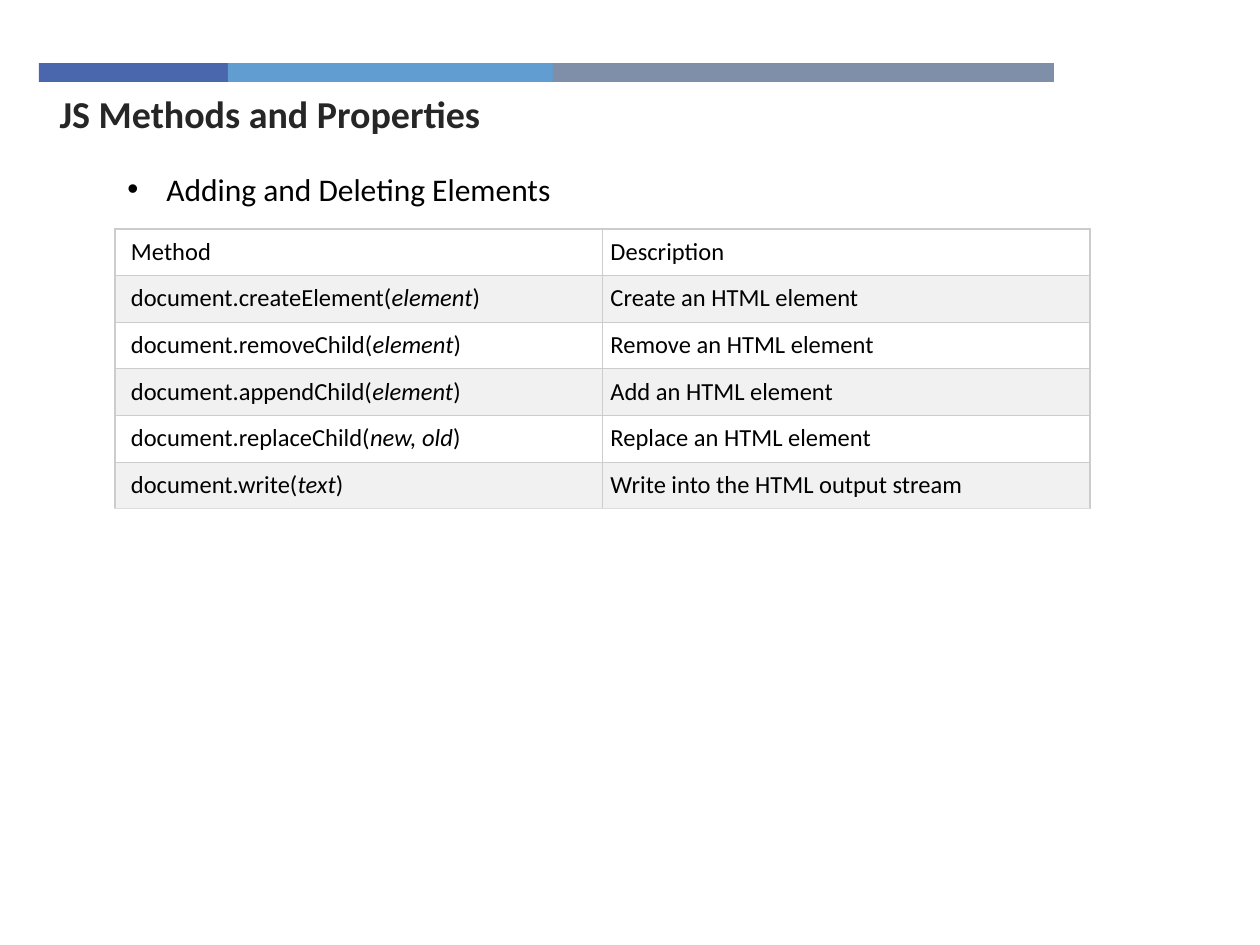
from lxml import etree
from pptx import Presentation
from pptx import util as u
from pptx.dml.color import RGBColor
from pptx.enum import shapes, text
from pptx.oxml.ns import qn

PX = u.Inches(1) / 126
FONT = "Calibri"
BARS = [(189, "4A66AC"), (325, "629DD1"), (501, "7F8FA9")]
# Each row: call text, italic argument, closing text, description
ROWS = [
    ("Method", "", "", "Description"),
    ("document.createElement(", "element", ")", "Create an HTML element"),
    ("document.removeChild(", "element", ")", "Remove an HTML element"),
    ("document.appendChild(", "element", ")", "Add an HTML element"),
    ("document.replaceChild(", "new, old", ")", "Replace an HTML element"),
    ("document.write(", "text", ")", "Write into the HTML output stream"),
]


def px(n):
    return u.Emu(round(n * PX))


def rgb(color):
    return RGBColor.from_string(color)


def style(font, size, color="000000", bold=False):
    font.name, font.size, font.bold = FONT, u.Pt(size), bold
    font.color.rgb = rgb(color)


def add_bars(s, left, top, height):
    for width, color in BARS:
        bar = s.shapes.add_shape(shapes.MSO_SHAPE.RECTANGLE,
                                 px(left), px(top), px(width), px(height))
        bar.shadow.inherit = False
        bar.fill.solid()
        bar.fill.fore_color.rgb = rgb(color)
        bar.line.fill.background()
        left += width


def set_title(s, title):
    sp = s.shapes.title
    sp.left, sp.top, sp.width, sp.height = px(47), px(82), px(456), px(68)
    tf = sp.text_frame
    tf.text = title
    tf.auto_size = text.MSO_AUTO_SIZE.NONE
    tf.vertical_anchor = text.MSO_ANCHOR.MIDDLE
    p = tf.paragraphs[0]
    p.alignment = text.PP_ALIGN.LEFT
    p.line_spacing = 0.9
    style(p.runs[0].font, 21.7, "262626", bold=True)


def add_bullet(s, content):
    sp = s.shapes.add_textbox(px(115), px(164), px(750), px(50))
    tf = sp.text_frame
    tf.word_wrap = True
    tf.text = content
    p = tf.paragraphs[0]
    pPr = p._p.get_or_add_pPr()
    pPr.set("marL", str(px(39)))
    pPr.set("indent", str(-px(39)))
    etree.SubElement(pPr, qn("a:buFont"), typeface="Arial")
    etree.SubElement(pPr, qn("a:buChar"), char="•")
    style(p.runs[0].font, 18)


def set_borders(cell, bottom):
    tcPr = cell._tc.get_or_add_tcPr()
    colors = {"lnL": "CCCCCC", "lnR": "CCCCCC", "lnT": "CCCCCC", "lnB": bottom}
    for i, (side, color) in enumerate(colors.items()):
        ln = etree.Element(qn(f"a:{side}"), w=str(u.Pt(0.75)))
        fill = etree.SubElement(ln, qn("a:solidFill"))
        etree.SubElement(fill, qn("a:srgbClr"), val=color)
        tcPr.insert(i, ln)


def fill_cell(cell, parts, left_inset, fill, bottom):
    """Write (text, italic) parts into a cell and format it."""
    cell.margin_left = px(left_inset)
    cell.margin_right = cell.margin_top = cell.margin_bottom = px(8)
    cell.fill.solid()
    cell.fill.fore_color.rgb = rgb(fill)
    p = cell.text_frame.paragraphs[0]
    for content, italic in parts:
        if content:
            r = p.add_run()
            r.text = content
            style(r.font, 14)
            r.font.italic = italic
    set_borders(cell, bottom)


def add_methods_table(s):
    width, height = px(975), px(280)
    table = s.shapes.add_table(len(ROWS), 2, px(115), px(229), width, height).table
    table.first_row = table.horz_banding = False
    for column in table.columns:
        column.width = width // 2
    for i, (call, argument, end, description) in enumerate(ROWS):
        table.rows[i].height = height // len(ROWS)
        fill = "F1F1F1" if i % 2 else "FFFFFF"
        bottom = "DDDDDD" if i == len(ROWS) - 1 else "CCCCCC"
        method = [(call, False), (argument, True), (end, False)]
        fill_cell(table.cell(i, 0), method, 16, fill, bottom)
        fill_cell(table.cell(i, 1), [(description, False)], 8, fill, bottom)


def main():
    prs = Presentation()
    prs.slide_width, prs.slide_height = u.Inches(10), u.Inches(7.5)
    s = prs.slides.add_slide(prs.slide_layouts[5])
    add_bars(s, 39, 63, 19)
    set_title(s, "JS Methods and Properties")
    add_methods_table(s)
    add_bullet(s, "Adding and Deleting Elements")
    prs.save("out.pptx")


if __name__ == "__main__":
    main()
